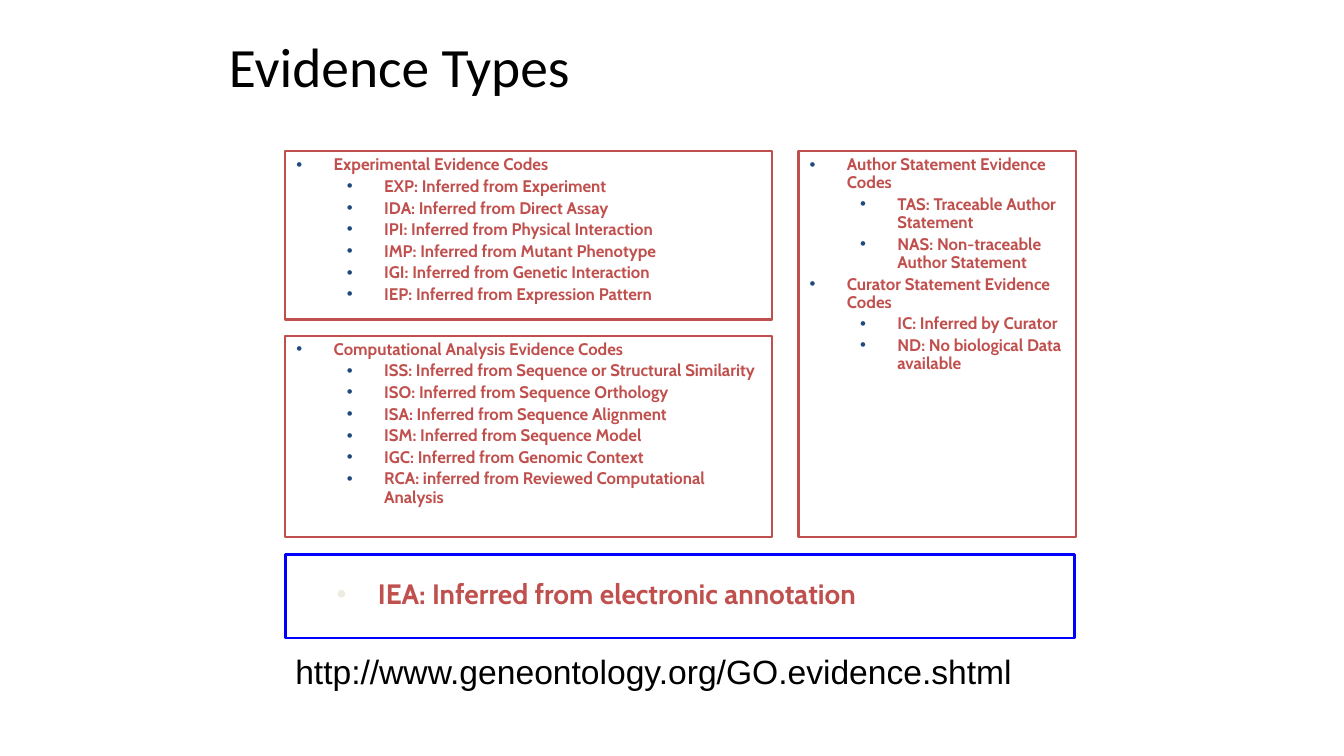
from dataclasses import dataclass

from lxml import etree
from pptx import Presentation
from pptx.dml.color import RGBColor
from pptx.enum.shapes import MSO_SHAPE
from pptx.enum.text import MSO_ANCHOR, MSO_AUTO_SIZE, PP_ALIGN
from pptx.oxml.ns import qn
from pptx.util import Inches, Pt

LEFT, CENTER = PP_ALIGN.LEFT, PP_ALIGN.CENTER
TOP, MIDDLE = MSO_ANCHOR.TOP, MSO_ANCHOR.MIDDLE
NO_AUTOFIT = MSO_AUTO_SIZE.NONE
RECTANGLE = MSO_SHAPE.RECTANGLE
COMPARISON_LAYOUT = 4


@dataclass(frozen=True)
class Theme:
    ink: str = "000000"
    red: str = "C0504D"
    blue: str = "0000FF"
    bullet: str = "1F497D"
    pale_bullet: str = "EEECE1"
    title_font: str = "Calibri"
    list_font: str = "Cabin"
    url_font: str = "Arial"
    title_size: float = 39.6
    list_size: float = 12
    highlight_size: float = 20
    url_size: float = 24


EXPERIMENTAL = [("Experimental Evidence Codes", [
    "EXP: Inferred from Experiment",
    "IDA: Inferred from Direct Assay",
    "IPI: Inferred from Physical Interaction",
    "IMP: Inferred from Mutant Phenotype",
    "IGI: Inferred from Genetic Interaction",
    "IEP: Inferred from Expression Pattern",
])]
COMPUTATIONAL = [("Computational Analysis Evidence Codes", [
    "ISS: Inferred from Sequence or Structural Similarity",
    "ISO: Inferred from Sequence Orthology",
    "ISA: Inferred from Sequence Alignment",
    "ISM: Inferred from Sequence Model",
    "IGC: Inferred from Genomic Context",
    "RCA: inferred from Reviewed Computational Analysis",
])]
STATEMENTS = [
    ("Author Statement Evidence Codes", [
        "TAS: Traceable Author Statement",
        "NAS: Non-traceable Author Statement",
    ]),
    ("Curator Statement Evidence Codes", [
        "IC: Inferred by Curator",
        "ND: No biological Data available",
    ]),
]


class EvidenceSlide:
    def __init__(self, prs, theme):
        self.theme = theme
        self.s = prs.slides.add_slide(prs.slide_layouts[COMPARISON_LAYOUT])

    def place(self, sp, box, anchor=TOP):
        """Move a text shape to box (left, top, width, height in inches)."""
        sp.left, sp.top, sp.width, sp.height = map(Inches, box)
        tf = sp.text_frame
        tf.word_wrap = True
        tf.auto_size = NO_AUTOFIT
        tf.vertical_anchor = anchor
        tf.margin_left = tf.margin_right = Inches(0.1)
        tf.margin_top = tf.margin_bottom = Inches(0.05)
        return tf

    def outline(self, sp, color, width):
        sp.line.color.rgb = RGBColor.from_string(color)
        sp.line.width = Pt(width)

    def set_text(self, p, text, font, size, color, bold=False, align=LEFT):
        p.text = text
        p.alignment = align
        for r in p.runs:
            r.font.name = font
            r.font.size = Pt(size)
            r.font.bold = bold
            r.font.color.rgb = RGBColor.from_string(color)

    def bullet(self, p, color, margin, hanging):
        pPr = p._p.get_or_add_pPr()
        pPr.set("marL", str(Inches(margin)))
        pPr.set("indent", str(-Inches(hanging)))
        clr = etree.SubElement(pPr, qn("a:buClr"))
        etree.SubElement(clr, qn("a:srgbClr"), val=color)
        etree.SubElement(pPr, qn("a:buFont"), typeface="Arial")
        etree.SubElement(pPr, qn("a:buChar"), char="•")

    def title(self, text, box):
        t = self.theme
        tf = self.place(self.s.shapes.title, box, MIDDLE)
        self.set_text(tf.paragraphs[0], text, t.title_font, t.title_size, t.ink)

    def code_list(self, idx, groups, box):
        """Fill a body placeholder with headings and their evidence codes."""
        t = self.theme
        sp = self.s.placeholders[idx]
        tf = self.place(sp, box)
        self.outline(sp, t.red, 1.5)
        lines = [(level, text) for heading, codes in groups
                 for level, text in [(0, heading)] + [(1, c) for c in codes]]
        for i, (level, text) in enumerate(lines):
            p = tf.add_paragraph() if i else tf.paragraphs[0]
            p.level = level
            self.bullet(p, t.bullet, 0.38 + 0.5 * level, 0.37)
            p.line_spacing = 0.9
            p.space_before = Pt(2.5 if i else 0)
            self.set_text(p, text, t.list_font, t.list_size, t.red, bold=True)

    def highlight(self, idx, text, box):
        t = self.theme
        p = self.place(self.s.placeholders[idx], box).paragraphs[0]
        self.bullet(p, t.pale_bullet, 0.41, 0.41)
        p.line_spacing = 0.9
        p.space_before = Pt(0)
        self.set_text(p, text, t.list_font, t.highlight_size, t.red,
                      bold=True, align=CENTER)

    def frame(self, box):
        sp = self.s.shapes.add_shape(RECTANGLE, *map(Inches, box))
        sp.shadow.inherit = False
        sp.fill.background()
        self.outline(sp, self.theme.blue, 2)

    def address(self, text, box):
        t = self.theme
        tf = self.place(self.s.shapes.add_textbox(*map(Inches, box)), box)
        self.set_text(tf.paragraphs[0], text, t.url_font, t.url_size, t.ink)


def main():
    prs = Presentation()
    prs.slide_width, prs.slide_height = Inches(13.33), Inches(7.5)
    slide = EvidenceSlide(prs, Theme())
    left = 2.83
    slide.title("Evidence Types", (2.17, 0.3, 9, 0.7))
    slide.code_list(1, EXPERIMENTAL, (left, 1.5, 4.83, 1.67))
    slide.code_list(2, COMPUTATIONAL, (left, 3.33, 4.83, 2))
    slide.code_list(3, STATEMENTS, (7.92, 1.5, 2.75, 3.83))
    slide.frame((left, 5.5, 7.83, 0.83))
    slide.highlight(4, "IEA: Inferred from electronic annotation",
                    (left, 5.71, 6.17, 0.97))
    slide.address("http://www.geneontology.org/GO.evidence.shtml",
                  (left, 6.41, 8.75, 0.5))
    prs.save("out.pptx")


if __name__ == "__main__":
    main()
